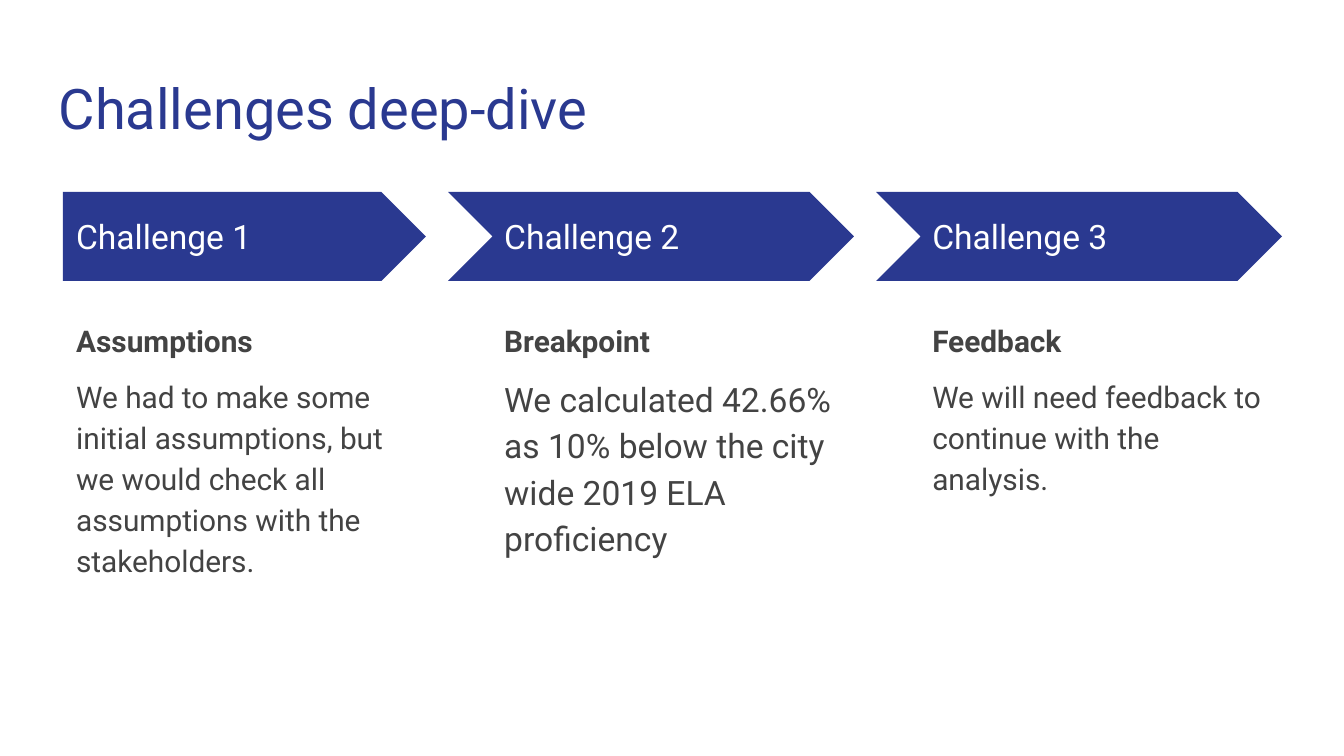
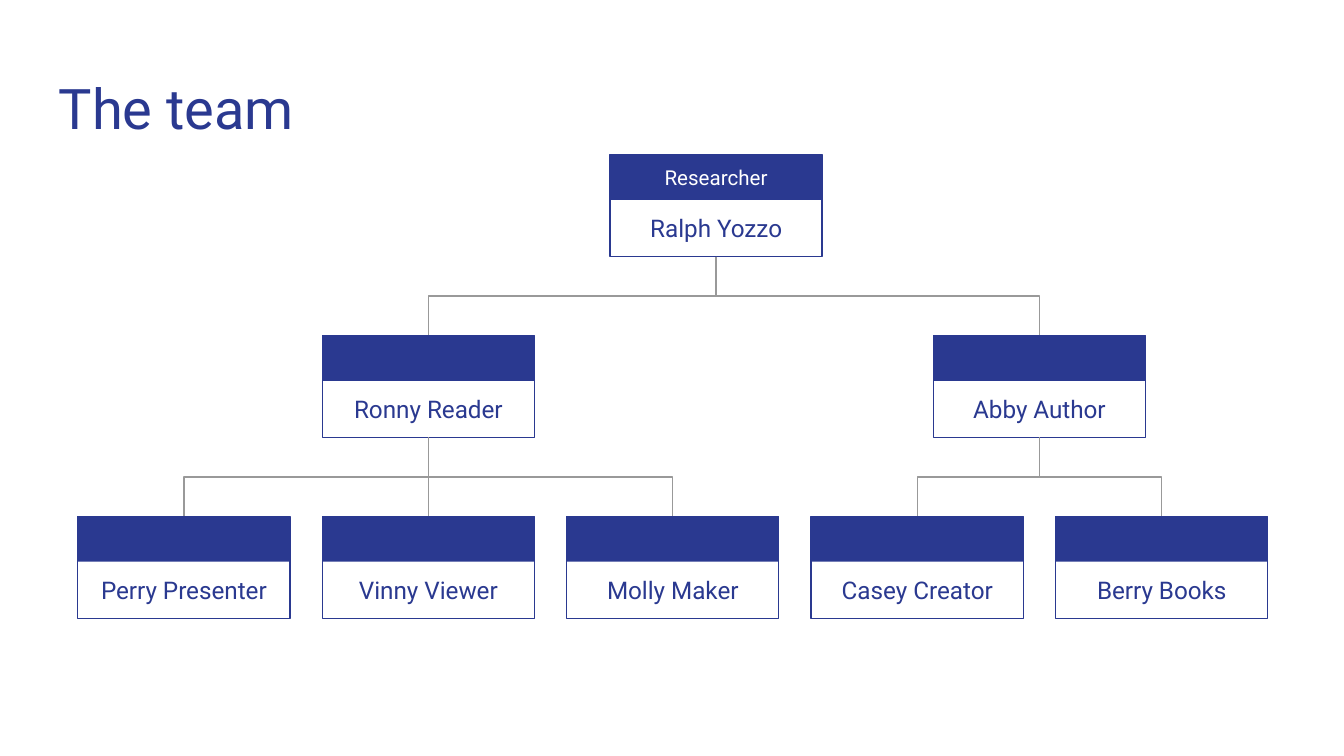
from dataclasses import dataclass

from lxml import etree
from pptx import Presentation
from pptx.dml.color import RGBColor
from pptx.enum.shapes import MSO_CONNECTOR, MSO_SHAPE
from pptx.enum.text import MSO_ANCHOR, MSO_AUTO_SIZE, PP_ALIGN
from pptx.oxml.ns import qn
from pptx.util import Cm, Pt

RECTANGLE = MSO_SHAPE.RECTANGLE
PENTAGON = MSO_SHAPE.PENTAGON
CHEVRON = MSO_SHAPE.CHEVRON
STRAIGHT = MSO_CONNECTOR.STRAIGHT
ELBOW = MSO_CONNECTOR.ELBOW
TOP = MSO_ANCHOR.TOP
MIDDLE = MSO_ANCHOR.MIDDLE
LEFT = PP_ALIGN.LEFT
CENTER = PP_ALIGN.CENTER
NO_AUTOFIT = MSO_AUTO_SIZE.NONE

FONT = "Roboto"
BLUE = "2A3990"
WHITE = "FFFFFF"
DARK_GRAY = "434343"
LINE_GRAY = "999999"
TITLE_ONLY = 5
INSET = Cm(0.25)
QUARTER_TURN = 5400000

COLUMN_LEFT = 1.19
COLUMN_PITCH = 8.09
COLUMN_WIDTH = 6.86
NOTCH = 0.81
ARROW_TOP = 3.63
ARROW_HEIGHT = 1.68

CARD_WIDTH = 4.01
CARD_HEIGHT = 1.93
HEADER_HEIGHT = 0.86
CARD_TEXT_HEIGHT = 0.53
FIRST_SLOT = 1.47
SLOT_PITCH = 4.62
FIRST_LEVEL = 2.92
LEVEL_PITCH = 3.42


@dataclass(frozen=True)
class Box:
    left: float
    top: float
    width: float
    height: float

    def lengths(self) -> tuple:
        return Cm(self.left), Cm(self.top), Cm(self.width), Cm(self.height)


@dataclass(frozen=True)
class TextStyle:
    size: float
    color: str
    alignment: int = LEFT
    anchor: int = TOP


@dataclass(frozen=True)
class Challenge:
    label: str
    heading: str
    detail: str
    detail_size: int = 16
    space_after: int = 8


@dataclass(frozen=True)
class Member:
    name: str
    left: float
    role: str = ""
    reports: tuple = ()


TITLE_STYLE = TextStyle(30, BLUE)
LABEL_STYLE = TextStyle(18, WHITE, anchor=MIDDLE)
DETAIL_STYLE = TextStyle(16, DARK_GRAY)
ROLE_STYLE = TextStyle(11, WHITE, CENTER, MIDDLE)
NAME_STYLE = TextStyle(13, BLUE, CENTER, MIDDLE)

CHALLENGES = (
    Challenge(
        "Challenge 1",
        "Assumptions",
        "We had to make some initial assumptions, but we would check all "
        "assumptions with the stakeholders.",
    ),
    Challenge(
        "Challenge 2",
        "Breakpoint",
        "We calculated 42.66% as 10% below the city wide 2019 ELA proficiency",
        detail_size=18,
        space_after=16,
    ),
    Challenge(
        "Challenge 3",
        "Feedback",
        "We will need feedback to continue with the analysis.",
    ),
)


def slot(position: float) -> float:
    return FIRST_SLOT + position * SLOT_PITCH


TEAM = Member(
    "Ralph Yozzo",
    11.53,
    "Researcher",
    (
        Member(
            "Ronny Reader",
            slot(1),
            reports=(
                Member("Perry Presenter", slot(0)),
                Member("Vinny Viewer", slot(1)),
                Member("Molly Maker", slot(2)),
            ),
        ),
        Member(
            "Abby Author",
            slot(3.5),
            reports=(
                Member("Casey Creator", slot(3)),
                Member("Berry Books", slot(4)),
            ),
        ),
    ),
)


def rgb(color: str) -> RGBColor:
    return RGBColor.from_string(color)


def write_text(shape, lines: list[str], style: TextStyle) -> list:
    text_frame = shape.text_frame
    text_frame.text = "\n".join(lines)
    text_frame.word_wrap = True
    text_frame.auto_size = NO_AUTOFIT
    text_frame.vertical_anchor = style.anchor
    text_frame.margin_left = text_frame.margin_right = INSET
    text_frame.margin_top = text_frame.margin_bottom = INSET
    for paragraph in text_frame.paragraphs:
        paragraph.alignment = style.alignment
        for run in paragraph.runs:
            run.font.name = FONT
            run.font.size = Pt(style.size)
            run.font.color.rgb = rgb(style.color)
    return list(text_frame.paragraphs)


def add_text(slide, box: Box, lines: list[str], style: TextStyle) -> list:
    return write_text(slide.shapes.add_textbox(*box.lengths()), lines, style)


def add_filled_shape(slide, kind: int, box: Box) -> None:
    shape = slide.shapes.add_shape(kind, *box.lengths())
    shape.shadow.inherit = False
    shape.fill.solid()
    shape.fill.fore_color.rgb = rgb(BLUE)
    shape.line.fill.background()


def add_outline(slide, box: Box) -> None:
    shape = slide.shapes.add_shape(RECTANGLE, *box.lengths())
    shape.shadow.inherit = False
    shape.fill.background()
    shape.line.color.rgb = rgb(BLUE)
    shape.line.width = Pt(0.75)


def add_branch(slide, start_x: float, start_y: float, end_x: float, end_y: float) -> None:
    if abs(end_x - start_x) < 0.01:
        kind, turns = STRAIGHT, 0
        ends = (start_x, start_y, end_x, end_y)
    else:
        half_run = abs(end_x - start_x) / 2
        half_drop = (end_y - start_y) / 2
        center_x = (start_x + end_x) / 2
        center_y = (start_y + end_y) / 2
        kind, turns = ELBOW, 1
        if end_x > start_x:
            turns, half_drop = 3, -half_drop
        ends = (
            center_x - half_drop,
            center_y - half_run,
            center_x + half_drop,
            center_y + half_run,
        )
    connector = slide.shapes.add_connector(kind, *(Cm(end) for end in ends))
    connector.line.color.rgb = rgb(LINE_GRAY)
    connector.line.width = Pt(0.75)
    properties = connector.element.spPr
    if turns:
        properties.find(qn("a:xfrm")).set("rot", str(turns * QUARTER_TURN))
    etree.SubElement(properties, qn("a:effectLst"))


def add_titled_slide(presentation, title: str):
    slide = presentation.slides.add_slide(presentation.slide_layouts[TITLE_ONLY])
    shape = slide.shapes.title
    shape.left, shape.top, shape.width, shape.height = Box(0.86, 1.14, 23.67, 1.68).lengths()
    write_text(shape, [title], TITLE_STYLE)
    return slide


def add_challenge(slide, index: int, challenge: Challenge) -> None:
    left = COLUMN_LEFT + index * COLUMN_PITCH
    kind, notch = (CHEVRON, NOTCH) if index else (PENTAGON, 0)
    arrow = Box(left - notch, ARROW_TOP, COLUMN_WIDTH + notch, ARROW_HEIGHT)
    add_filled_shape(slide, kind, arrow)
    add_text(slide, Box(left, 4.04, 6.27, 0.86), [challenge.label], LABEL_STYLE)
    heading, detail = add_text(
        slide,
        Box(left, 5.74, COLUMN_WIDTH, 7.37),
        [challenge.heading, challenge.detail],
        DETAIL_STYLE,
    )
    heading.line_spacing = detail.line_spacing = 1.15
    heading.runs[0].font.bold = True
    detail.space_before = Pt(8)
    detail.space_after = Pt(challenge.space_after)
    detail.runs[0].font.size = Pt(challenge.detail_size)


def add_member(slide, member: Member, level: int = 0) -> None:
    left, top = member.left, FIRST_LEVEL + level * LEVEL_PITCH
    add_outline(slide, Box(left, top, CARD_WIDTH, CARD_HEIGHT))
    add_filled_shape(slide, RECTANGLE, Box(left, top, CARD_WIDTH, HEADER_HEIGHT))
    if member.role:
        role_box = Box(left, top + 0.16, CARD_WIDTH, CARD_TEXT_HEIGHT)
        add_text(slide, role_box, [member.role], ROLE_STYLE)
    name_box = Box(left, top + 1.13, CARD_WIDTH, CARD_TEXT_HEIGHT)
    add_text(slide, name_box, [member.name], NAME_STYLE)
    for report in member.reports:
        add_branch(
            slide,
            left + CARD_WIDTH / 2,
            top + CARD_HEIGHT,
            report.left + CARD_WIDTH / 2,
            top + LEVEL_PITCH,
        )
        add_member(slide, report, level + 1)


def main() -> None:
    presentation = Presentation()
    presentation.slide_width = Cm(25.4)
    presentation.slide_height = Cm(14.29)

    challenges_slide = add_titled_slide(presentation, "Challenges deep-dive")
    for index, challenge in enumerate(CHALLENGES):
        add_challenge(challenges_slide, index, challenge)

    team_slide = add_titled_slide(presentation, "The team")
    add_member(team_slide, TEAM)

    presentation.save("out.pptx")


if __name__ == "__main__":
    main()
